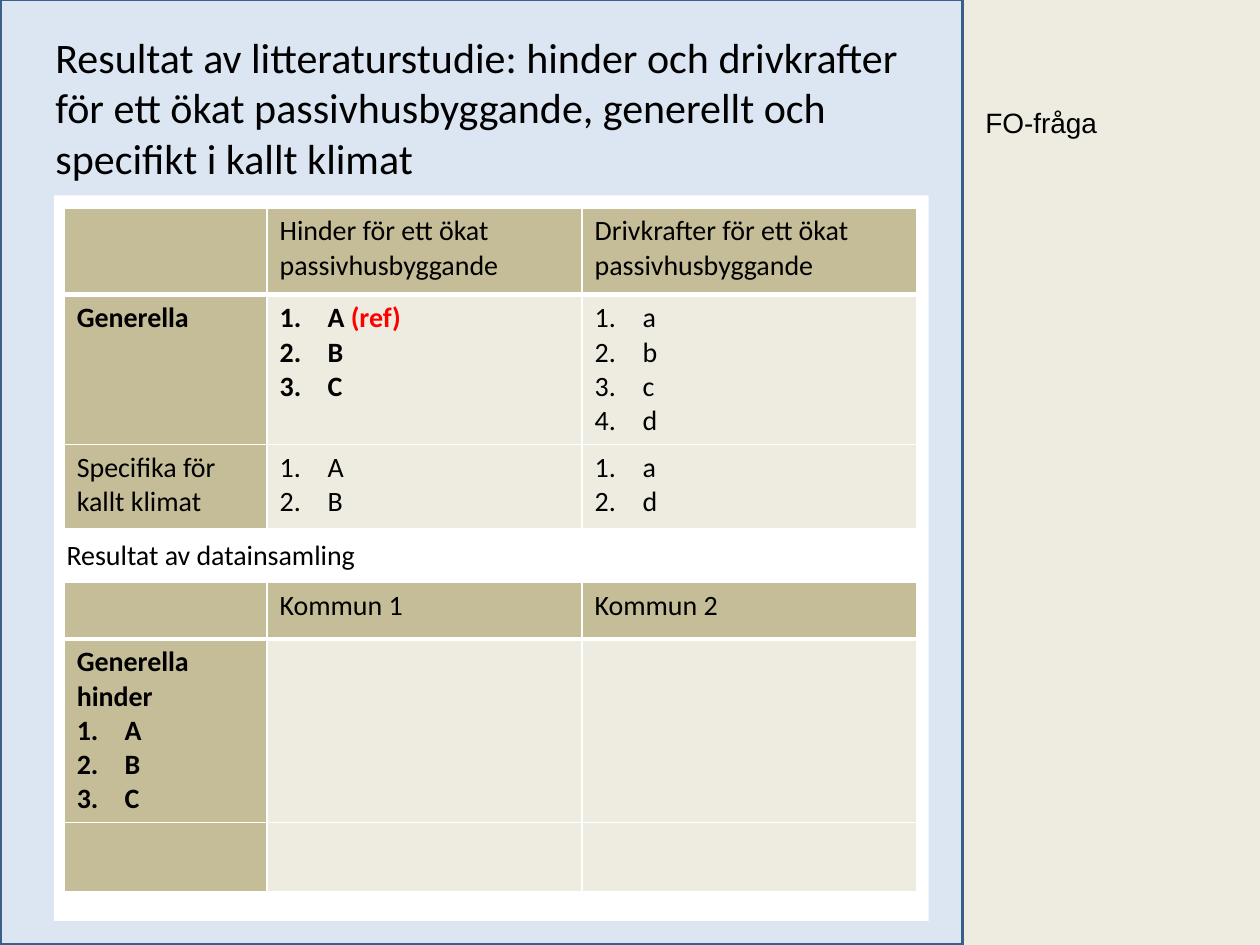
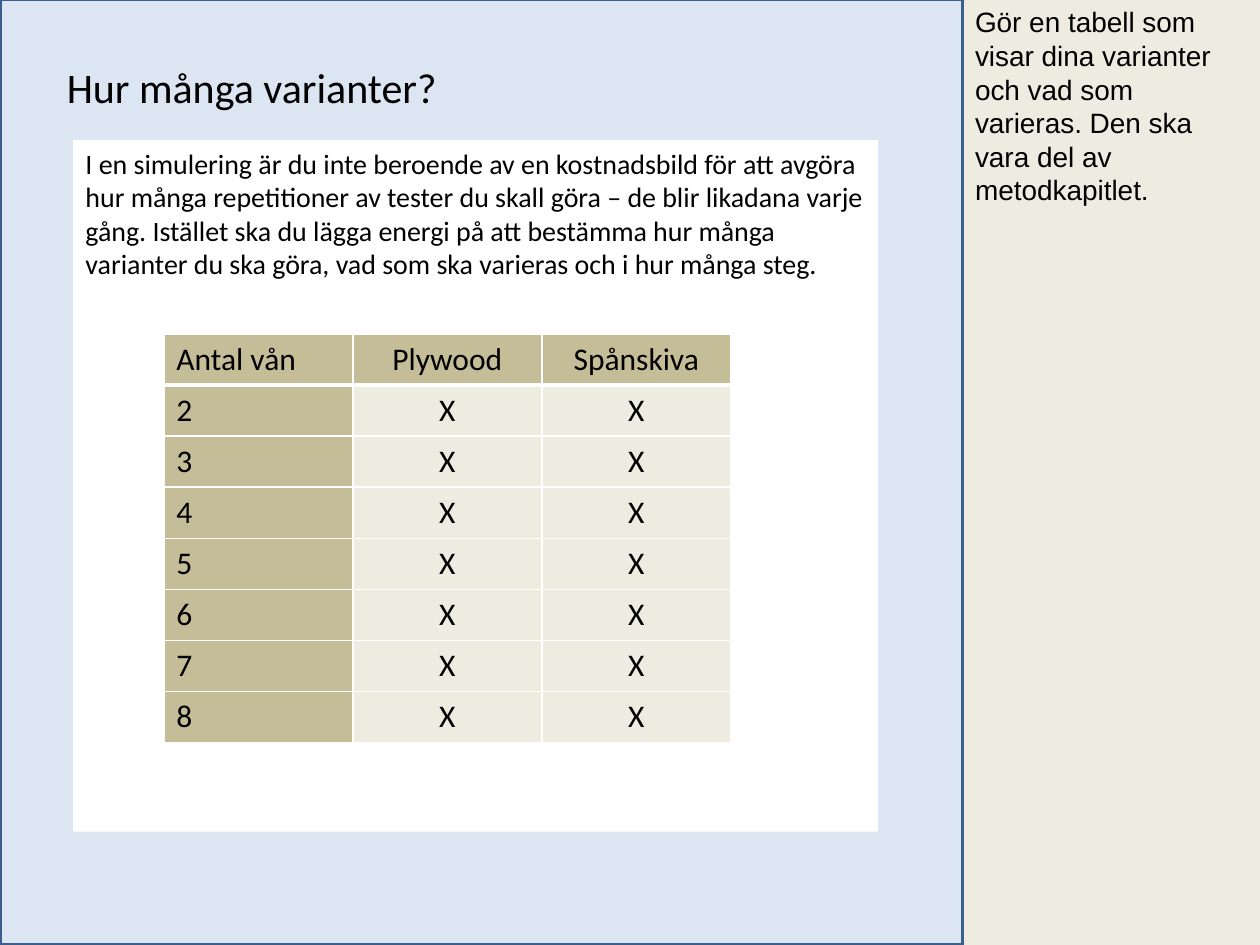
from dataclasses import dataclass

from lxml import etree
from pptx import Presentation
from pptx.dml.color import RGBColor
from pptx.enum.shapes import MSO_SHAPE
from pptx.enum.text import MSO_ANCHOR, MSO_AUTO_SIZE, PP_ALIGN
from pptx.oxml.ns import qn
from pptx.util import Inches, Pt

RECTANGLE = MSO_SHAPE.RECTANGLE
TOP, NO_FIT = MSO_ANCHOR.TOP, MSO_AUTO_SIZE.NONE
LEFT, CENTER = PP_ALIGN.LEFT, PP_ALIGN.CENTER

COLORS = {
    "text": "000000",
    "reference": "FF0000",
    "white": "FFFFFF",
    "backdrop": "DCE6F2",
    "outline": "3A5F8C",
    "side": "EEECE1",
    "cell": "EEECE1",
    "heading": "C4BD97",
}
HEADING_FONT = BODY_FONT = "Calibri"
NOTE_FONT = "Arial"
LIST_INDENT = Inches(0.38)
TITLE_ONLY = 5


def rgb(name):
    return RGBColor.from_string(COLORS[name])


@dataclass
class Cell:
    """Lead text followed by numbered items; an item is a list of (text, colour)."""
    text: str = ""
    items: tuple = ()
    bold: bool = False


def listed(letters, **options):
    return Cell(items=tuple([(letter, "text")] for letter in letters), **options)


class SlideBuilder:
    def __init__(self, deck):
        self.deck = deck
        self.page = None

    def start(self, title, title_at, note, side_left, note_margins=(0.1, 0.05)):
        """Add a slide with its side note, blue backdrop and title."""
        self.page = self.deck.slides.add_slide(self.deck.slide_layouts[TITLE_ONLY])
        self.panel((side_left, -0.01, 10 - side_left, 7.64), "side",
                   note, NOTE_FONT, note_margins)
        backdrop = self.panel((0, -0.01, 7.64, 7.51), "backdrop")
        backdrop.line.color.rgb = rgb("outline")
        backdrop.line.width = Pt(2)
        self.title(title, title_at)

    def span(self, para, text, size, font=BODY_FONT, color="text", bold=False):
        run = para.add_run()
        run.text = text
        run.font.size = Pt(size)
        run.font.name = font
        run.font.bold = bold
        run.font.color.rgb = rgb(color)

    def set_text(self, box, text, size, font, margins=(0.1, 0.05)):
        frame = box.text_frame
        frame.word_wrap = True
        frame.auto_size = NO_FIT
        frame.vertical_anchor = TOP
        frame.margin_left, frame.margin_top = map(Inches, margins)
        para = frame.paragraphs[0]
        para.alignment = LEFT
        para.line_spacing = Pt(size * 1.2)
        self.span(para, text, size, font)

    def title(self, text, at):
        box = self.page.shapes.title
        box.left, box.top, box.width, box.height = map(Inches, at)
        self.set_text(box, text, 24, HEADING_FONT)
        # Bring the title in front of the backdrop
        box.element.getparent().append(box.element)

    def panel(self, at, fill, text="", font=BODY_FONT, margins=(0.1, 0.05)):
        box = self.page.shapes.add_shape(RECTANGLE, *map(Inches, at))
        box.shadow.inherit = False
        box.fill.solid()
        box.fill.fore_color.rgb = rgb(fill)
        box.line.fill.background()
        if text:
            self.set_text(box, text, 16, font, margins)
        return box

    def number(self, para):
        properties = para._p.get_or_add_pPr()
        properties.set("marL", str(LIST_INDENT))
        properties.set("indent", str(-LIST_INDENT))
        etree.SubElement(properties, qn("a:buAutoNum"), type="arabicPeriod")

    def borders(self, cell, bottom):
        properties = cell._tc.get_or_add_tcPr()
        for side, points in (("L", 1), ("R", 1), ("T", 1), ("B", bottom)):
            line = etree.SubElement(properties, qn(f"a:ln{side}"), w=str(Pt(points)))
            fill = etree.SubElement(line, qn("a:solidFill"))
            etree.SubElement(fill, qn("a:srgbClr"), val=COLORS["white"])

    def fill_cell(self, cell, content, size, align):
        frame = cell.text_frame
        lines = [[(content.text, "text")]] if content.text else []
        lines += content.items
        for index, spans in enumerate(lines):
            para = frame.paragraphs[0] if index == 0 else frame.add_paragraph()
            if spans in content.items:
                self.number(para)
            para.alignment = align
            for text, color in spans:
                self.span(para, text, size, color=color, bold=content.bold)

    def table(self, left, top, columns, heights, rows, size=16, align=LEFT):
        """Add a table whose first row and column carry the heading colour."""
        frame = self.page.shapes.add_table(
            len(rows), len(columns), Inches(left), Inches(top),
            Inches(sum(columns)), Inches(sum(heights)))
        table = frame.table
        table.horz_banding = False
        for column, width in zip(table.columns, columns):
            column.width = Inches(width)
        for r, (contents, height) in enumerate(zip(rows, heights)):
            table.rows[r].height = Inches(height)
            for c, content in enumerate(contents):
                cell = table.cell(r, c)
                self.borders(cell, bottom=3 if r == 0 else 1)
                cell.fill.solid()
                cell.fill.fore_color.rgb = rgb("cell" if r and c else "heading")
                self.fill_cell(cell, content, size, align if c else LEFT)


def add_literature_slide(builder):
    builder.start(
        "Resultat av litteraturstudie: hinder och drivkrafter för ett ökat "
        "passivhusbyggande, generellt och specifikt i kallt klimat",
        (0.34, 0.2, 7.02, 1.31), "FO-fråga", 7.6, note_margins=(0.22, 0.85))
    builder.panel((0.43, 1.55, 6.94, 5.76), "white",
                  "Resultat av datainsamling", margins=(0.1, 2.72))
    columns = (1.61, 2.5, 2.66)

    # Barriers and drivers from the literature
    barriers = Cell(bold=True, items=(
        [("A ", "text"), ("(ref)", "reference")], [("B", "text")], [("C", "text")]))
    builder.table(0.51, 1.65, columns, (0.69, 1.17, 0.67), [
        [Cell(), Cell("Hinder för ett ökat passivhusbyggande"),
         Cell("Drivkrafter för ett ökat passivhusbyggande")],
        [Cell("Generella", bold=True), barriers, listed("abcd")],
        [Cell("Specifika för kallt klimat"), listed("AB"), listed("ad")],
    ])

    # Collected data per municipality
    builder.table(0.51, 4.62, columns, (0.45, 1.43, 0.55), [
        [Cell(), Cell("Kommun 1"), Cell("Kommun 2")],
        [listed("ABC", text="Generella hinder", bold=True), Cell(), Cell()],
        [Cell(), Cell(), Cell()],
    ])


def add_variants_slide(builder):
    builder.start(
        "Hur många varianter?", (0.43, 0.44, 6.69, 0.5),
        "Gör en tabell som visar dina varianter och vad som varieras. "
        "Den ska vara del av metodkapitlet.", 7.64)
    builder.panel(
        (0.58, 1.11, 6.39, 5.49), "white",
        "I en simulering är du inte beroende av en kostnadsbild för att avgöra "
        "hur många repetitioner av tester du skall göra – de blir likadana varje "
        "gång. Istället ska du lägga energi på att bestämma hur många varianter "
        "du ska göra, vad som ska varieras och i hur många steg.")

    # Storeys against board materials
    rows = [[Cell("Antal vån"), Cell("Plywood"), Cell("Spånskiva")]]
    rows += [[Cell(str(storeys)), Cell("X"), Cell("X")] for storeys in range(2, 9)]
    builder.table(1.3, 2.65, (1.5,) * 3, (3.24 / len(rows),) * len(rows), rows,
                  size=18, align=CENTER)


def main():
    deck = Presentation()
    deck.slide_width, deck.slide_height = Inches(10), Inches(7.5)
    builder = SlideBuilder(deck)
    add_literature_slide(builder)
    add_variants_slide(builder)
    deck.save("out.pptx")


if __name__ == "__main__":
    main()
